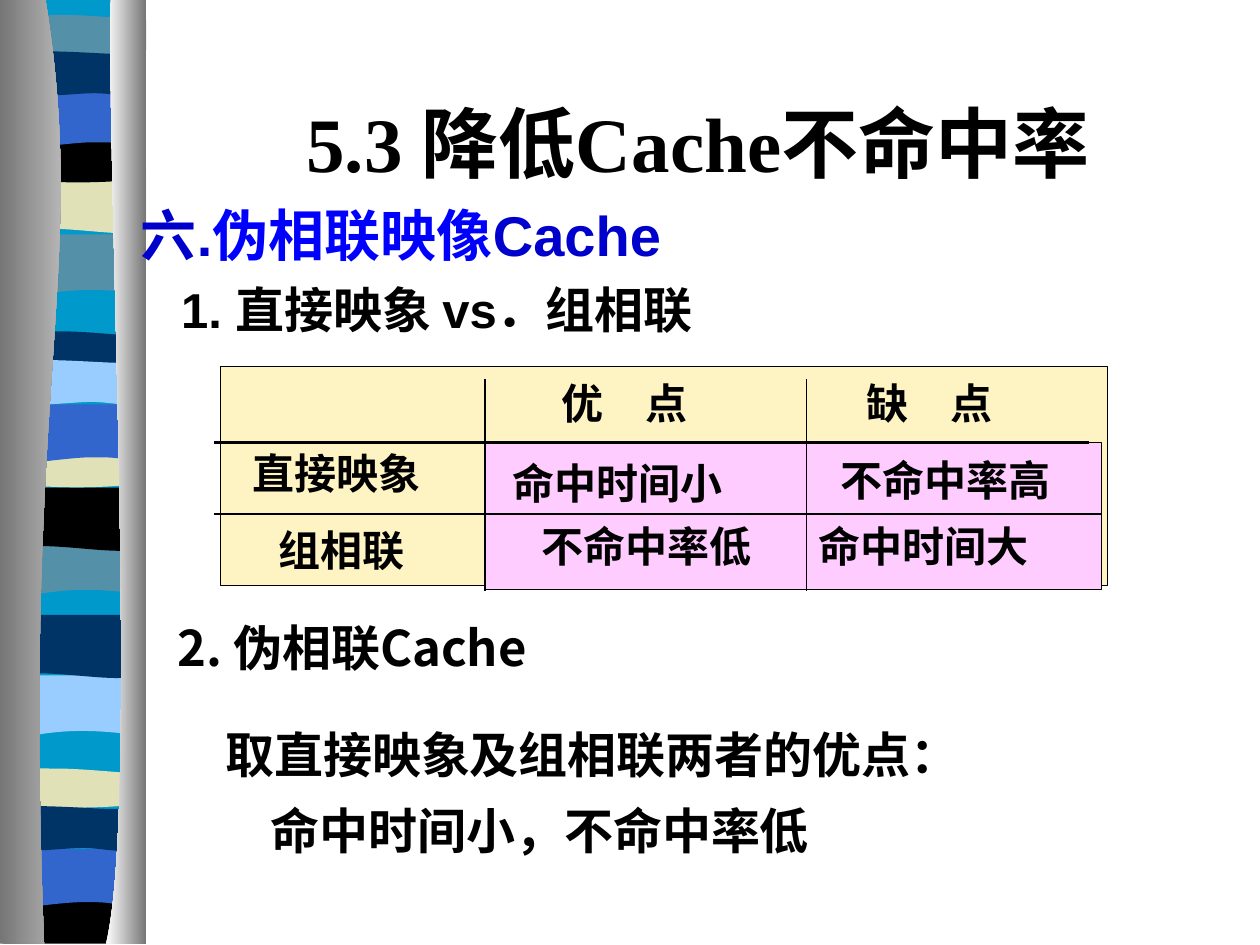
from pptx import Presentation
from pptx.util import Inches, Pt
from pptx.dml.color import RGBColor as RGB
from pptx.enum.shapes import MSO_SHAPE as Geo, MSO_CONNECTOR as Conn
from pptx.enum.text import MSO_ANCHOR as Anchor, PP_ALIGN as Align
from pptx.oxml.ns import qn
from lxml.etree import SubElement as Sub

HUE = {"sky": "0099CC", "steel": "5490A8", "cream": "E1E1B7", "navy": "003366",
       "black": "000000", "blue": "3366CC", "pale": "99CCFF", "gray": "767676",
       "light": "D3D3D3", "white": "FFFFFF", "ink": "0000CC", "vivid": "0000FF",
       "sand": "FEF3C2", "pink": "FFCCFF"}
SANS, SERIF, CJK = "Arial", "Times New Roman", "Noto Sans CJK SC"

prs = Presentation()
prs.slide_width, prs.slide_height = Inches(10), Inches(7.5)
slide = prs.slides.add_slide(prs.slide_layouts[6])
shapes = slide.shapes


def outline(segs, left=0, top=0):
    """Draw a closed outline: pairs are corners, six numbers are a curve."""
    pts = [(Inches(left + x), Inches(top + y))
           for seg in segs for x, y in zip(seg[::2], seg[1::2])]
    pen = shapes.build_freeform(*pts[0])
    pen.add_line_segments(pts[1:], close=True)
    form = pen.convert_to_shape()
    form.shadow.inherit = False
    form.line.fill.background()
    # Turn the three points of each curve into one Bezier step
    route = next(form._element.iter(qn("a:path")))
    steps = iter(route.findall(qn("a:lnTo")))
    for seg in segs[1:]:
        step = next(steps)
        if len(seg) == 6:
            step.tag = qn("a:cubicBezTo")
            for extra in (next(steps), next(steps)):
                step.append(extra[0])
                route.remove(extra)
    return form


def write(box, paras, size=24, face=CJK, gap=1, align=Align.LEFT, anchor=Anchor.TOP):
    """Add a text box; each paragraph is (indent, space before, size, runs)."""
    frame = shapes.add_textbox(*map(Inches, box)).text_frame
    frame.word_wrap = True
    frame.vertical_anchor = anchor
    for n, (dent, before, pts, runs) in enumerate(paras):
        para = frame.paragraphs[0] if n == 0 else frame.add_paragraph()
        para.alignment = align
        if gap != 1:
            para.line_spacing = gap
        if before:
            para.space_before = Pt(before)
        if dent:
            para._p.get_or_add_pPr().set("marL", str(Inches(dent)))
        for text, hue in runs:
            run = para.add_run()
            run.text = text
            look = {"size": Pt(pts or size), "name": face, "bold": True}
            for key, val in look.items():
                setattr(run.font, key, val)
            run.font.color.rgb = RGB.from_string(HUE[hue])
            Sub(run._r.get_or_add_rPr(), qn("a:ea")).set("typeface", CJK)


# Band outlines, one inch wide, measured from their top left corner
base = [(0, 0), (1, 0)]
dip = base + [(1, 0.47), (0.31, 0.38, 0.17, 0.54, 0, 0.47)]
sway = base + [(1, 0.48), (0.83, 0.55, 0.3, 0.42, 0, 0.48)]
slim = [(1, 0.05), (1, 0.29), (0.83, 0.33, 0.17, 0.33, 0, 0.29), (0, 0.05),
        (0.06, 0, 0.21, 0.01, 0.38, 0.01), (0.55, 0.01, 0.86, 0.04, 1, 0.05)]
bowl = [(1, 0), (1, 0.33), (0.83, 0.38, 0.17, 0.38, 0, 0.33), (0, 0),
        (0.61, 0.05, 0.79, 0, 1, 0)]
foot = [(1, 0), (1, 0.37), (0, 0.37), (0, 0), (0.61, 0.05, 0.79, 0, 1, 0)]
arch = base + [(1, 0.47), (0.85, 0.42, 0.78, 0.42, 0.62, 0.42),
               (0.45, 0.42, 0.16, 0.47, 0, 0.47)]
flow = [(1, 0.05), (1, 0.36), (0.94, 0.41, 0.78, 0.36, 0.62, 0.36),
        (0.45, 0.36, 0.11, 0.41, 0, 0.36), (0, 0.05),
        (0.14, 0, 0.67, 0.05, 0.84, 0.05)]

# Ribbon of bands down the left side
ribbon = [(0.13, -0.01, [(0, 0), (0.99, 0), (0.99, 7.48), (0, 7.48)], "sky"),
          (0.12, 1.86, dip, "steel"), (0.16, 1.35, sway, "cream"),
          (0.16, 0.11, slim, "steel"), (0.12, 1.08, bowl, "black"),
          (0.12, 0.71, arch, "blue"), (0.13, 0.38, flow, "navy"),
          (0.08, 4.24, dip, "steel"), (0.11, 3.87, sway, "black"),
          (0.11, 2.62, slim, "navy"), (0.11, 3.5, bowl, "cream"),
          (0.11, 3.21, arch, "blue"), (0.11, 2.83, flow, "pale"),
          (0.05, 5.36, dip, "pale"), (0.09, 4.88, sway, "navy"),
          (0.08, 6.09, slim, "cream"), (0.08, 7.12, foot, "black"),
          (0.04, 6.74, arch, "blue"), (0.04, 6.37, flow, "navy")]
for left, top, segs, hue in ribbon:
    fill = outline(segs, left, top).fill
    fill.solid()
    fill.fore_color.rgb = RGB.from_string(HUE[hue])

# Shaded edges over the ribbon
edges = [([(0.36, -0.01), (0.71, 2.16, 0.17, 2.96, 0.35, 7.49), (0, 7.49), (0, -0.01)],
          "gray", "light"),
         ([(0.88, -0.01), (0.84, 1.25, 1.11, 6.46, 0.84, 7.49), (1.16, 7.49),
           (1.16, 0)], "white", "gray")]
for segs, *hues in edges:
    fill = outline(segs).fill
    fill.gradient()
    fill.gradient_angle = 0
    for stop, hue in zip(fill.gradient_stops, hues):
        stop.color.rgb = RGB.from_string(HUE[hue])

# Title and text
write((1.29, 0.5, 8.5, 1.25), [(0, 0, 44, [("5.3 降低Cache不命中率", "black")])],
      face=SERIF, align=Align.CENTER, anchor=Anchor.MIDDLE)
write((1.02, 1.54, 8.74, 1.33),
      [(0, 0, 32, [("六.", "ink"), ("伪相联映像", "vivid"), ("Cache", "ink")]),
       (0.32, 7, 28, [("1. 直接映象 vs．组相联", "black")])], face=SANS)
write((1.22, 4.76, 3.25, 1.22), [(0.09, 0, 28, [("2. 伪相联Cache", "black")])], gap=1.2)
write((1.69, 5.56, 7.4, 1.32),
      [(0, 0, 28, [("取直接映象及组相联两者的优点：", "black")]),
       (0.36, 0, 28, [("命中时间小，不命中率低", "black")])], gap=1.3)

# Comparison grid: panels
for box, hue in [((1.75, 2.91, 7.04, 1.74), "sand"), ((3.85, 3.51, 4.89, 1.17), "pink")]:
    panel = shapes.add_shape(Geo.RECTANGLE, *map(Inches, box))
    panel.shadow.inherit = False
    panel.fill.solid()
    panel.fill.fore_color.rgb = RGB.from_string(HUE[hue])
    panel.line.color.rgb = RGB.from_string(HUE["black"])
    panel.line.width = Pt(0.75)

# Comparison grid: rules
rules = [(1.7, 3.51, 8.64, 3.51, 1.5), (3.85, 3.01, 3.85, 4.69, 1.5),
         (6.4, 3.01, 6.4, 4.69, 0.75), (1.7, 4.08, 8.74, 4.08, 0.75)]
for *ends, width in rules:
    rule = shapes.add_connector(Conn.STRAIGHT, *map(Inches, ends))
    rule.line.color.rgb = RGB.from_string(HUE["black"])
    rule.line.width = Pt(width)
    Sub(rule._element.spPr, qn("a:effectLst"))

# Comparison grid: labels
labels = [(4.36, 2.95, 1.63, "优　点"), (6.78, 2.95, 1.63, "缺　点"),
          (1.91, 3.5, 1.94, "直接映象"), (2.11, 4.11, 1.63, "组相联"),
          (3.97, 3.58, 2.37, "命中时间小"), (6.4, 4.08, 2.35, "命中时间大"),
          (6.57, 3.56, 1.91, "不命中率高"), (4.2, 4.08, 2.3, "不命中率低")]
for left, top, width, text in labels:
    write((left, top, width, 0.5), [(0, 0, 24, [(text, "black")])])

prs.save("out.pptx")
